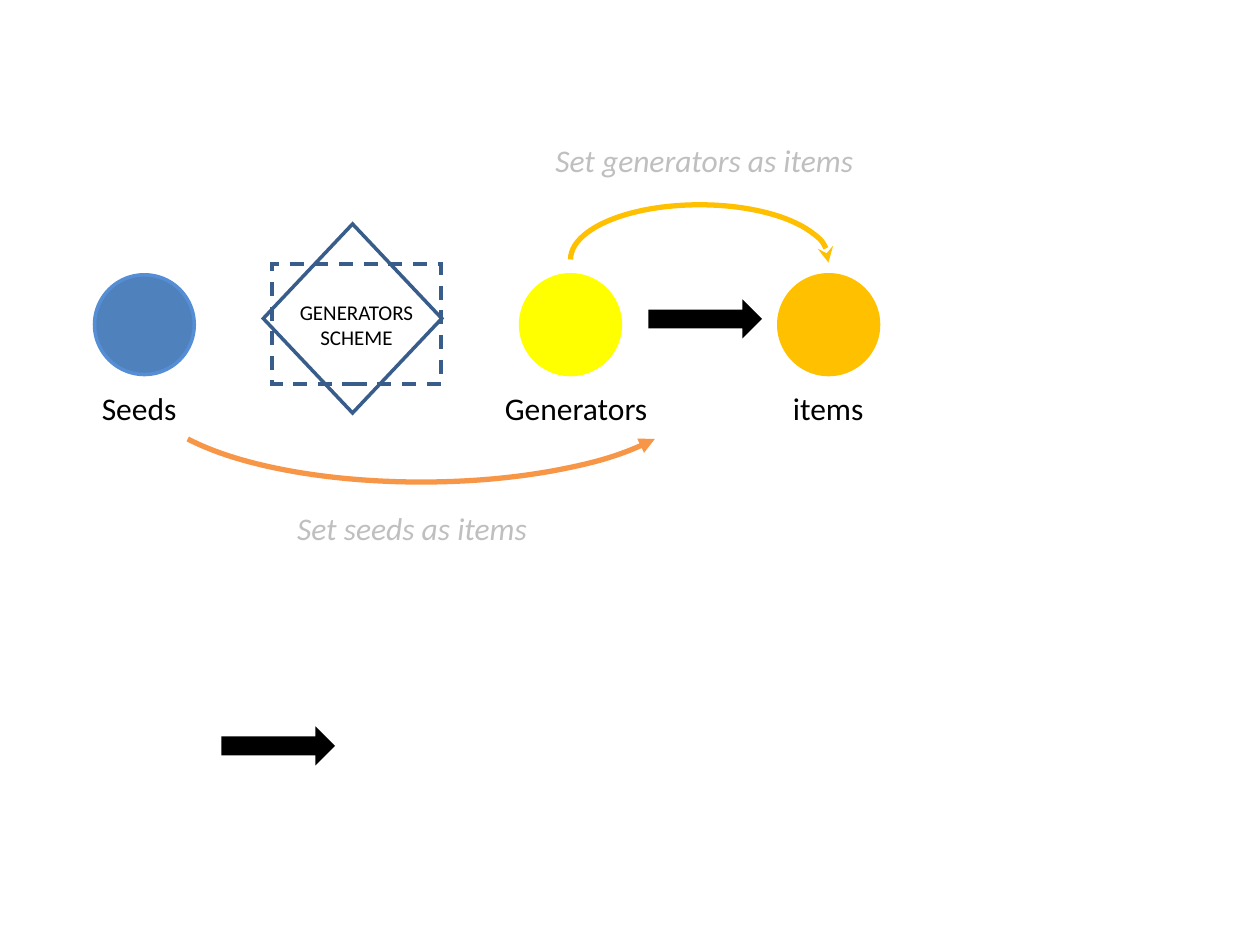
from dataclasses import dataclass

from lxml import etree
from pptx import Presentation
from pptx import util as u
from pptx.dml.color import RGBColor
from pptx.enum import dml, shapes, text
from pptx.oxml.ns import qn

Pt = u.Pt
SHAPE = shapes.MSO_SHAPE


@dataclass(frozen=True)
class Theme:
    font: str = "Calibri"
    label_size: int = 18
    scheme_size: int = 12
    outline: int = 2
    curve: int = 3
    ink: str = "000000"
    paper: str = "FFFFFF"
    note: str = "BFBFBF"
    seed: str = "4F81BD"
    seed_edge: str = "558ED5"
    generator: str = "FFFF00"
    item: str = "FFC000"
    seed_curve: str = "F79646"
    scheme: str = "385D8A"


THEME = Theme()


def add_shape(slide, kind, box, line, fill=None, width=THEME.outline, dash=None):
    sp = slide.shapes.add_shape(kind, *(Pt(v) for v in box))
    sp.shadow.inherit = False
    if fill:
        sp.fill.solid()
        sp.fill.fore_color.rgb = RGBColor.from_string(fill)
    else:
        sp.fill.background()
    sp.line.color.rgb = RGBColor.from_string(line)
    sp.line.width = Pt(width)
    if dash:
        sp.line.dash_style = dash
    ln = sp.line._get_or_add_ln()
    etree.SubElement(ln, qn("a:miter")).set("lim", "800000")
    return sp


def add_curve(slide, box, start, end, color, arrow_end, arrow_type):
    """Draw an elliptical arc clockwise between two angles in degrees.

    arrow_end is "headEnd" for the start of the arc and "tailEnd" for its end.
    """
    sp = add_shape(slide, SHAPE.ARC, box, color, width=THEME.curve)
    for i, degrees in enumerate((start, end)):
        sp.adjustments[i] = degrees * 0.6  # 60000ths of a degree over 100000
    ln = sp.line._get_or_add_ln()
    etree.SubElement(ln, qn(f"a:{arrow_end}")).set("type", arrow_type)


def write_text(sp, *lines, size=THEME.label_size, color=THEME.ink, italic=False,
               anchor=text.MSO_ANCHOR.TOP):
    tf = sp.text_frame
    tf.word_wrap = True
    tf.vertical_anchor = anchor
    for i, line in enumerate(lines):
        p = tf.add_paragraph() if i else tf.paragraphs[0]
        p.alignment = text.PP_ALIGN.CENTER
        r = p.add_run()
        r.text = line
        r.font.name = THEME.font
        r.font.size = Pt(size)
        r.font.italic = italic
        r.font.color.rgb = RGBColor.from_string(color)


def add_label(slide, box, label, **style):
    sp = slide.shapes.add_textbox(*(Pt(v) for v in box))
    write_text(sp, label, **style)
    sp.text_frame.auto_size = text.MSO_AUTO_SIZE.SHAPE_TO_FIT_TEXT


def add_scheme(slide):
    add_shape(slide, SHAPE.DIAMOND, (150.5, 128, 102, 108), THEME.scheme, THEME.paper)
    sp = add_shape(slide, SHAPE.RECTANGLE, (155.5, 151, 96.5, 68.5), THEME.scheme,
                   dash=dml.MSO_LINE.DASH)
    write_text(sp, "GENERATORS", "SCHEME", size=THEME.scheme_size,
               anchor=text.MSO_ANCHOR.MIDDLE)


def main():
    prs = Presentation()
    prs.slide_width, prs.slide_height = Pt(720), Pt(540)
    s = prs.slides.add_slide(prs.slide_layouts[6])

    for left, fill, edge in ((54, THEME.seed, THEME.seed_edge),
                             (297.5, THEME.generator, THEME.generator),
                             (445, THEME.item, THEME.item)):
        add_shape(s, SHAPE.OVAL, (left, 157, 57, 57), edge, fill)

    for left, top in ((127.5, 417.5), (371.5, 173.5)):
        add_shape(s, SHAPE.RIGHT_ARROW, (left, top, 62.5, 17.5), THEME.ink, THEME.ink)

    add_curve(s, (82, 168, 317.5, 107.5), 12.3, 167.7, THEME.seed_curve,
              "headEnd", "triangle")
    add_curve(s, (326, 117, 147.5, 62.5), 180, 1.4, THEME.item, "tailEnd", "stealth")

    for left, width, label in ((281, 96.5, "Generators"), (48, 63, "Seeds"),
                               (439.5, 67.5, "items")):
        add_label(s, (left, 219, width, 29), label)
    for left, top, width, label in ((309, 77, 187, "Set generators as items"),
                                    (150.5, 287.5, 170, "Set seeds as items")):
        add_label(s, (left, top, width, 29), label, color=THEME.note, italic=True)

    add_scheme(s)
    prs.save("out.pptx")


if __name__ == "__main__":
    main()
